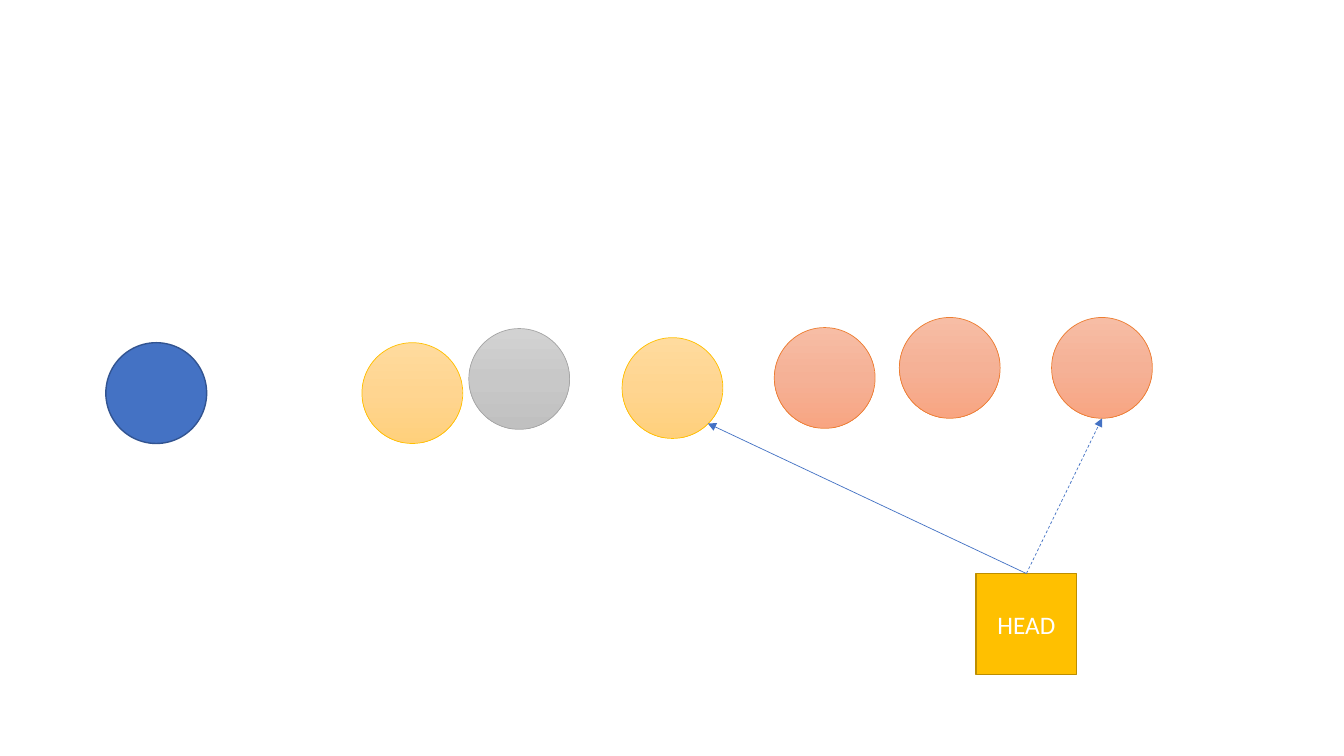
from copy import deepcopy

from pptx import Presentation
from pptx import util as u
from pptx.dml.color import RGBColor
from pptx.enum import dml, shapes, text
from pptx.oxml import parse_xml
from pptx.oxml.ns import nsdecls, qn

WHITE = RGBColor(0xFF, 0xFF, 0xFF)
BLUE = RGBColor(0x44, 0x72, 0xC4)
DARK_BLUE = RGBColor(0x32, 0x54, 0x91)
GOLD = RGBColor(0xFF, 0xC0, 0x00)
DARK_GOLD = RGBColor(0xBD, 0x8E, 0x00)
ORANGE = RGBColor(0xED, 0x7D, 0x31)
GREY = RGBColor(0xA5, 0xA5, 0xA5)

# Top, middle and bottom colours of each gradient
ORANGE_FADE = [RGBColor.from_string(c) for c in ("F7BDA5", "F5B196", "F8A582")]
GOLD_FADE = [RGBColor.from_string(c) for c in ("FFDB9E", "FFD590", "FFD07C")]
GREY_FADE = [RGBColor.from_string(c) for c in ("D2D2D2", "C8C8C8", "C0C0C0")]

# Left, top, fill colours, outline colour, outline width
COMMITS = [
    (1.05, 3.4, [BLUE], DARK_BLUE, 1),
    (8.92, 3.15, ORANGE_FADE, ORANGE, 0.5),
    (10.43, 3.15, ORANGE_FADE, ORANGE, 0.5),
    (7.68, 3.25, ORANGE_FADE, ORANGE, 0.5),
    (3.59, 3.4, GOLD_FADE, GOLD, 0.5),
    (6.17, 3.35, GOLD_FADE, GOLD, 0.5),
    (4.65, 3.26, GREY_FADE, GREY, 0.5),
]


class Diagram:
    size = u.Inches(1)
    font_format = {"name": "Calibri", "size": u.Pt(18)}

    def __init__(self, page):
        self.page = page

    def node(self, kind, left, top, colours, outline, width):
        """Add a square-sized shape with a solid or three-stop gradient fill."""
        box = self.page.shapes.add_shape(
            kind, u.Inches(left), u.Inches(top), self.size, self.size)
        box.shadow.inherit = False
        if len(colours) == 1:
            box.fill.solid()
            box.fill.fore_color.rgb = colours[0]
        else:
            self.fade(box, colours)
        box.line.color.rgb = outline
        box.line.width = u.Pt(width)
        return box

    def fade(self, box, colours):
        """Fill a shape from top to bottom with evenly spaced colours."""
        box.fill.gradient()
        box.fill.gradient_angle = 270
        stop_list = box._element.spPr.find(".//" + qn("a:gsLst"))
        stop_list.insert(1, deepcopy(stop_list[0]))
        for index, (stop, colour) in enumerate(zip(box.fill.gradient_stops, colours)):
            stop.position = index / (len(colours) - 1)
            stop.color.rgb = colour

    def label(self, box, words):
        frame = box.text_frame
        frame.vertical_anchor = text.MSO_ANCHOR.MIDDLE
        para = frame.paragraphs[0]
        para.alignment = text.PP_ALIGN.CENTER
        span = para.add_run()
        span.text = words
        for name, value in self.font_format.items():
            setattr(span.font, name, value)
        span.font.color.rgb = WHITE

    def arrow(self, box, end_x, end_y, dash=None):
        """Draw an arrow from the top of a box to a point."""
        line = self.page.shapes.add_connector(
            shapes.MSO_CONNECTOR.STRAIGHT, box.left, box.top,
            u.Inches(end_x), u.Inches(end_y))
        line.begin_connect(box, 0)
        line.line.color.rgb = BLUE
        line.line.width = u.Pt(0.5)
        if dash:
            line.line.dash_style = dash
        properties = line._element.spPr
        properties.find(qn("a:ln")).append(
            parse_xml(f'<a:tailEnd {nsdecls("a")} type="triangle"/>'))
        properties.append(parse_xml(f'<a:effectLst {nsdecls("a")}/>'))


def main():
    deck = Presentation()
    deck.slide_width, deck.slide_height = u.Inches(13.33), u.Inches(7.5)
    blank_layout = deck.slide_layouts[6]
    diagram = Diagram(deck.slides.add_slide(blank_layout))

    for commit in COMMITS:
        diagram.node(shapes.MSO_SHAPE.OVAL, *commit)
    head = diagram.node(shapes.MSO_SHAPE.RECTANGLE, 9.68, 5.69, [GOLD], DARK_GOLD, 1)
    diagram.label(head, "HEAD")
    diagram.arrow(head, 7.02, 4.2)
    diagram.arrow(head, 10.93, 4.15, dml.MSO_LINE.DASH)

    deck.save("out.pptx")


if __name__ == "__main__":
    main()
